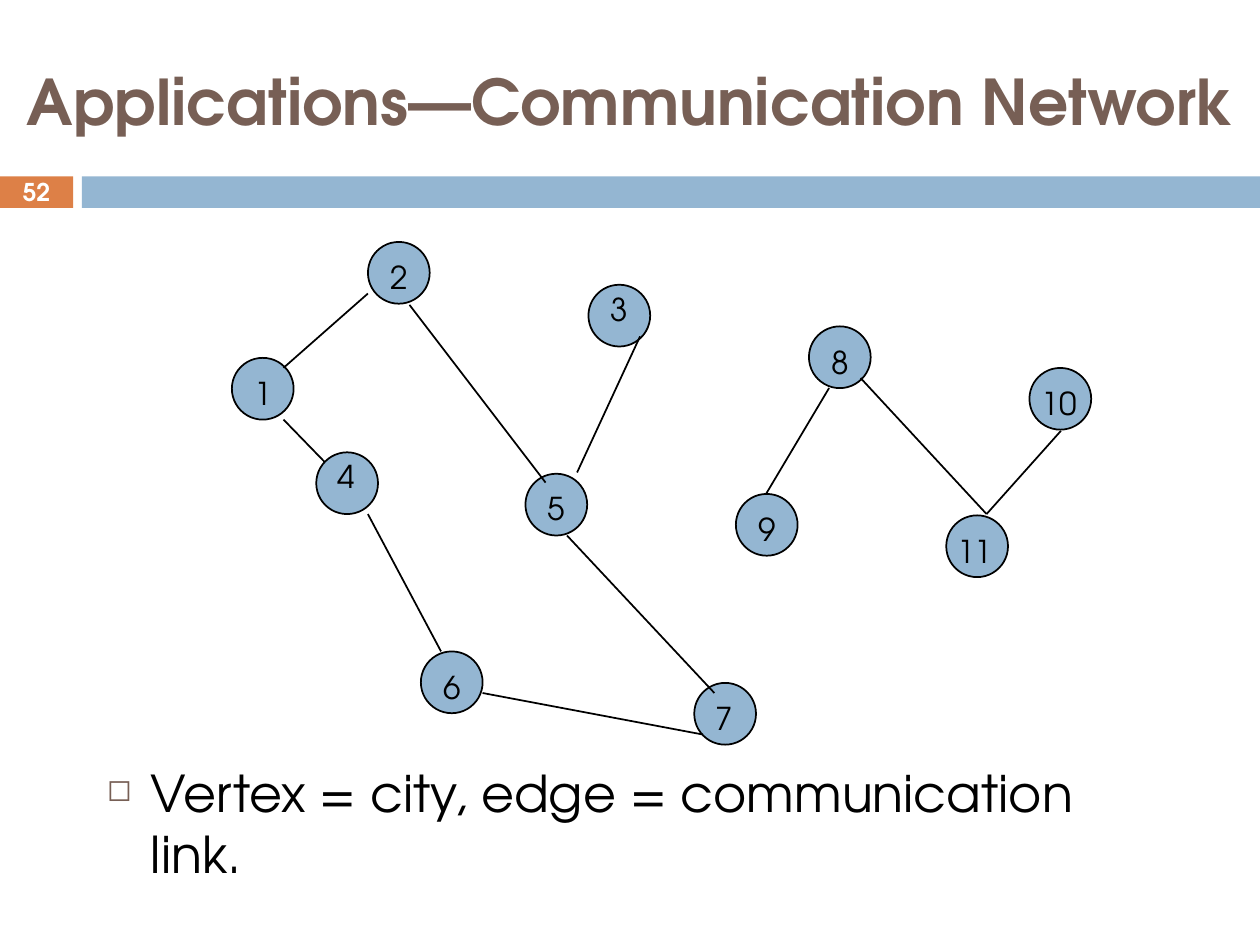
from pptx import Presentation
from pptx.dml.color import RGBColor
from pptx.enum.shapes import MSO_CONNECTOR, MSO_SHAPE
from pptx.enum.text import MSO_ANCHOR, PP_ALIGN
from pptx.oxml.ns import qn
from pptx.util import Pt
from lxml import etree

RECTANGLE, OVAL = MSO_SHAPE.RECTANGLE, MSO_SHAPE.OVAL
STRAIGHT = MSO_CONNECTOR.STRAIGHT
TOP, MIDDLE = MSO_ANCHOR.TOP, MSO_ANCHOR.MIDDLE
LEFT, CENTER = PP_ALIGN.LEFT, PP_ALIGN.CENTER

PX = 9144
THEME = {
    "font": "TeX Gyre Adventor",
    "orange": "DD8047",
    "blue": "94B6D2",
    "brown": "775F55",
    "black": "000000",
    "white": "FFFFFF",
    "title": 36,
    "body": 29,
    "label": 18,
    "number": 14,
}

deck = Presentation()
deck.slide_width, deck.slide_height = 1000 * PX, 750 * PX
page = deck.slides.add_slide(deck.slide_layouts[6])


def add_filled(kind, left, top, width, height, color):
    shape = page.shapes.add_shape(kind, left * PX, top * PX, width * PX, height * PX)
    shape.shadow.inherit = False
    shape.fill.solid()
    shape.fill.fore_color.rgb = RGBColor.from_string(THEME[color])
    shape.line.fill.background()
    return shape


def add_text(text, left, top, width, height, size, color, bold=False, align=LEFT, anchor=TOP):
    box = page.shapes.add_textbox(left * PX, top * PX, width * PX, height * PX)
    frame = box.text_frame
    frame.word_wrap = True
    frame.vertical_anchor = anchor
    para = frame.paragraphs[0]
    para.alignment = align
    span = para.add_run()
    span.text = text
    span.font.name = THEME["font"]
    span.font.size = Pt(THEME[size])
    span.font.bold = bold
    span.font.color.rgb = RGBColor.from_string(THEME[color])
    return para


add_filled(RECTANGLE, 0, 140, 58, 25, "orange")
add_filled(RECTANGLE, 65, 140, 935, 25, "blue")
add_text("Applications—Communication Network", 0, 17, 1000, 125, "title", "brown", True, CENTER, MIDDLE)

body = add_text("Vertex = city, edge = communication link.", 75, 600, 850, 67, "body", "black")
bullet = body._p.get_or_add_pPr()
bullet.set("marL", str(35 * PX))
bullet.set("indent", str(-35 * PX))
bullet_color = etree.SubElement(bullet, qn("a:buClr"))
etree.SubElement(bullet_color, qn("a:srgbClr"), val=THEME["brown"])
etree.SubElement(bullet, qn("a:buSzPct"), val="60000")
etree.SubElement(bullet, qn("a:buChar"), char="◻")

# vertex: circle left, top; label left, top, width
vertices = {
    "1": (184, 284, 192, 292, 25),
    "2": (292, 192, 300, 200, 25),
    "3": (467, 226, 475, 225, 25),
    "4": (251, 359, 258, 358, 25),
    "5": (417, 376, 425, 383, 25),
    "6": (334, 517, 342, 525, 25),
    "7": (551, 542, 558, 550, 25),
    "8": (642, 259, 650, 267, 25),
    "9": (584, 392, 592, 400, 25),
    "10": (817, 292, 817, 300, 50),
    "11": (751, 409, 750, 417, 83),
}
edges = [
    (292, 233, 225, 292),
    (325, 242, 433, 383),
    (225, 333, 258, 367),
    (292, 408, 350, 517),
    (383, 550, 558, 583),
    (508, 267, 458, 375),
    (450, 425, 567, 550),
    (658, 308, 608, 392),
    (683, 300, 783, 408),
    (783, 408, 842, 342),
]

for left, top, *_ in vertices.values():
    circle = add_filled(OVAL, left, top, 49, 49, "blue")
    circle.line.color.rgb = RGBColor.from_string(THEME["black"])
    circle.line.width = Pt(1)

for ends in edges:
    edge = page.shapes.add_connector(STRAIGHT, *(end * PX for end in ends))
    edge.line.color.rgb = RGBColor.from_string(THEME["black"])
    edge.line.width = Pt(1)
    etree.SubElement(edge._element.spPr, qn("a:effectLst"))

for name, (_, _, left, top, width) in vertices.items():
    add_text(name, left, top, width, 43, "label", "black")

add_text("52", 0, 139, 58, 27, "number", "white", True, CENTER, MIDDLE)

deck.save("out.pptx")
